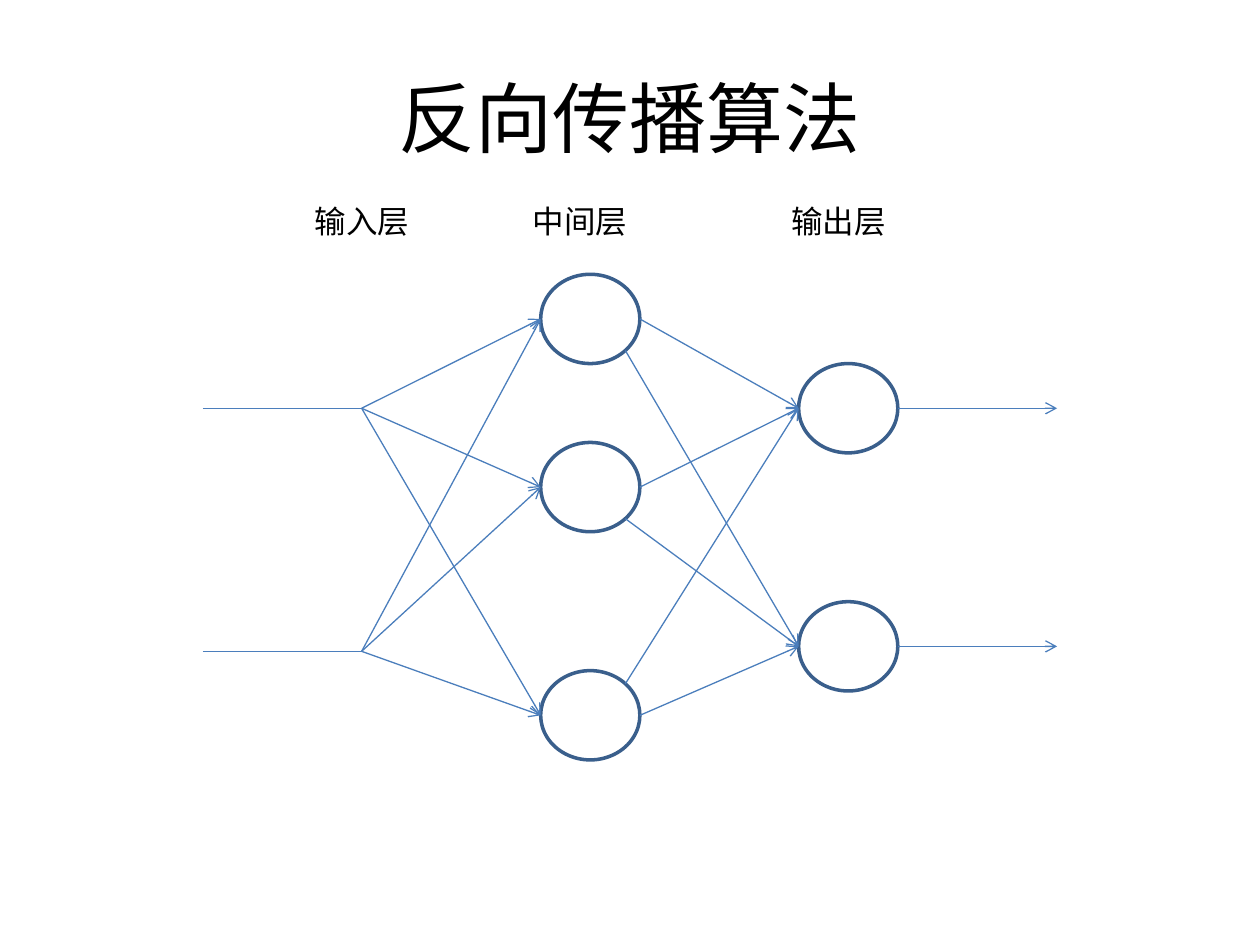
from math import sqrt

from lxml import etree
from pptx import Presentation
from pptx.dml.color import RGBColor
from pptx.enum import shapes, text
from pptx.oxml import ns
from pptx.util import Cm, Pt

BLACK = RGBColor(0x00, 0x00, 0x00)
NODE_BLUE = RGBColor(0x3A, 0x5F, 0x8C)
LINK_BLUE = RGBColor(0x4B, 0x7E, 0xBC)
FONT = "Calibri"

RADIUS_X, RADIUS_Y = 1.0, 0.9
INPUT_START, INPUT_END, OUTPUT_END = 4.09, 7.29, 21.31
INPUTS = [8.23, 13.13]
HIDDEN_X, HIDDEN = 11.9, [6.43, 9.82, 14.42]
OUTPUT_X, OUTPUTS = 17.1, [8.23, 13.03]
LABELS = [("输入层", 6.1), ("中间层", 10.49), ("输出层", 15.7)]
RIGHT = (1, 0)
LOWER_RIGHT = (1 / sqrt(2), 1 / sqrt(2))
UPPER_RIGHT = (1 / sqrt(2), -1 / sqrt(2))
HIDDEN_EXITS = [(RIGHT, LOWER_RIGHT), (RIGHT, LOWER_RIGHT), (UPPER_RIGHT, RIGHT)]


def format_paragraph(paragraph, size, alignment):
    paragraph.alignment = alignment
    paragraph.font.name = FONT
    paragraph.font.size = Pt(size)
    paragraph.font.color.rgb = BLACK


def set_title(slide, wording):
    title = slide.shapes.title
    title.left, title.top, title.width, title.height = Cm(1.27), Cm(0.76), Cm(22.86), Cm(3.18)
    frame = title.text_frame
    frame.text = wording
    frame.vertical_anchor = text.MSO_ANCHOR.MIDDLE
    format_paragraph(frame.paragraphs[0], 44, text.PP_ALIGN.CENTER)


def add_label(slide, wording, left):
    frame = slide.shapes.add_textbox(Cm(left), Cm(3.94), Cm(2.59), Cm(1.02)).text_frame
    frame.word_wrap = True
    frame.auto_size = text.MSO_AUTO_SIZE.SHAPE_TO_FIT_TEXT
    frame.text = wording
    format_paragraph(frame.paragraphs[0], 18, text.PP_ALIGN.LEFT)


def add_neuron(slide, x, y):
    neuron = slide.shapes.add_shape(
        shapes.MSO_SHAPE.OVAL,
        Cm(x - RADIUS_X), Cm(y - RADIUS_Y), Cm(2 * RADIUS_X), Cm(2 * RADIUS_Y),
    )
    neuron.shadow.inherit = False
    neuron.fill.background()
    neuron.line.color.rgb = NODE_BLUE
    neuron.line.width = Pt(2)


def add_link(slide, start, end, arrow=True):
    link = slide.shapes.add_connector(
        shapes.MSO_CONNECTOR.STRAIGHT, Cm(start[0]), Cm(start[1]), Cm(end[0]), Cm(end[1])
    )
    link.line.color.rgb = LINK_BLUE
    link.line.width = Pt(0.75)
    if arrow:
        etree.SubElement(link.line._get_or_add_ln(), ns.qn("a:tailEnd"), type="arrow")
    etree.SubElement(link._element.spPr, ns.qn("a:effectLst"))


def rim_point(x, y, direction):
    return x + RADIUS_X * direction[0], y + RADIUS_Y * direction[1]


def add_network(slide):
    for x, layer in ((HIDDEN_X, HIDDEN), (OUTPUT_X, OUTPUTS)):
        for y in layer:
            add_neuron(slide, x, y)
    for input_y in INPUTS:
        add_link(slide, (INPUT_START, input_y), (INPUT_END, input_y), arrow=False)
        for hidden_y in HIDDEN:
            add_link(slide, (INPUT_END, input_y), (HIDDEN_X - RADIUS_X, hidden_y))
    for hidden_y, exits in zip(HIDDEN, HIDDEN_EXITS):
        for output_y, direction in zip(OUTPUTS, exits):
            start = rim_point(HIDDEN_X, hidden_y, direction)
            add_link(slide, start, (OUTPUT_X - RADIUS_X, output_y))
    for output_y in OUTPUTS:
        add_link(slide, rim_point(OUTPUT_X, output_y, RIGHT), (OUTPUT_END, output_y))


def main():
    presentation = Presentation()
    presentation.slide_width, presentation.slide_height = Cm(25.4), Cm(19.05)
    slide = presentation.slides.add_slide(presentation.slide_layouts[5])
    set_title(slide, "反向传播算法")
    add_network(slide)
    for wording, left in LABELS:
        add_label(slide, wording, left)
    presentation.save("out.pptx")


if __name__ == "__main__":
    main()
